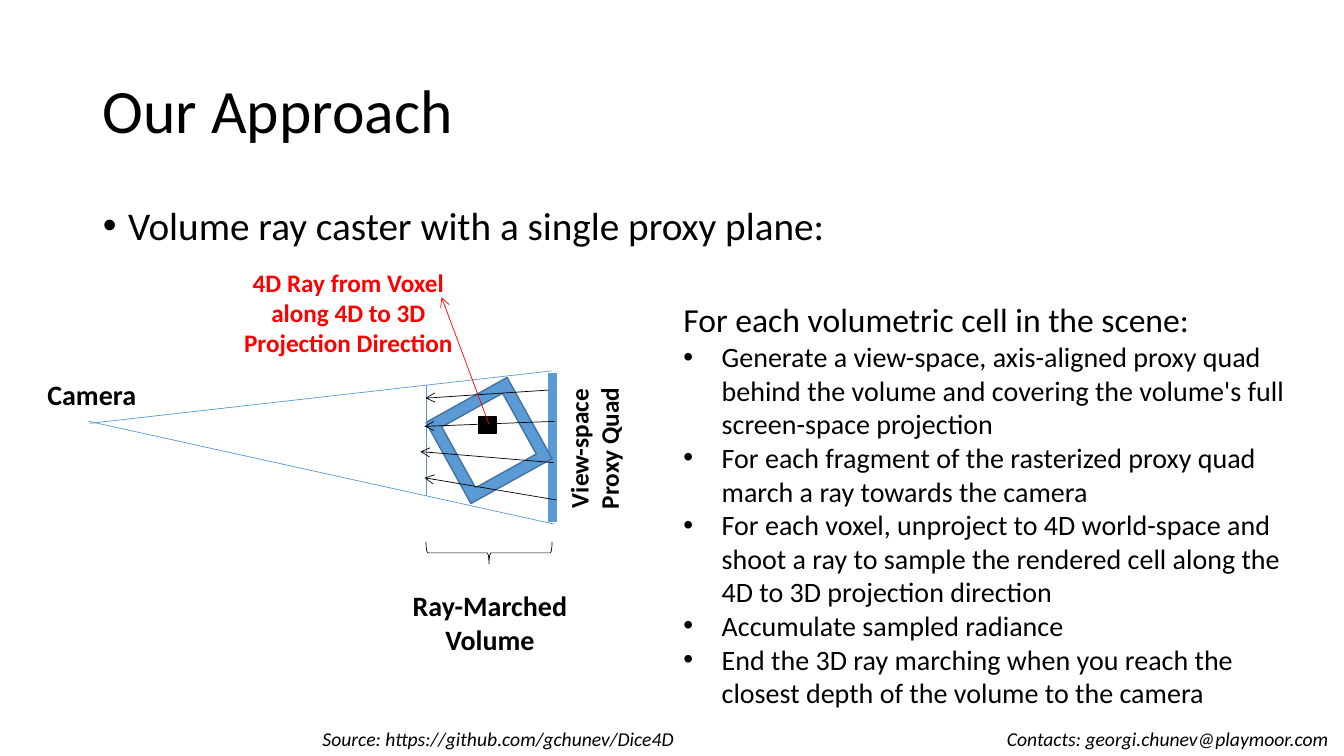
from lxml import etree
from pptx import Presentation
from pptx.dml.color import RGBColor
from pptx.enum.shapes import MSO_CONNECTOR, MSO_SHAPE
from pptx.enum.text import MSO_ANCHOR, MSO_AUTO_SIZE, PP_ALIGN
from pptx.oxml.ns import qn
from pptx.util import Pt

PX = 9144
FONT = "Calibri"
BLACK, RED, BLUE, DARK_BLUE = "000000", "FF0000", "5B9BD5", "43739E"
STRAIGHT = MSO_CONNECTOR.STRAIGHT
FRAME, SQUARE, BRACE = MSO_SHAPE.FRAME, MSO_SHAPE.RECTANGLE, MSO_SHAPE.LEFT_BRACE
LEFT, CENTER = PP_ALIGN.LEFT, PP_ALIGN.CENTER
TOP, MIDDLE = MSO_ANCHOR.TOP, MSO_ANCHOR.MIDDLE
NO_FIT = MSO_AUTO_SIZE.NONE

STEPS = [
    "Generate a view-space, axis-aligned proxy quad behind the volume and covering "
    "the volume's full screen-space projection",
    "For each fragment of the rasterized proxy quad march a ray towards the camera",
    "For each voxel, unproject to 4D world-space and shoot a ray to sample the "
    "rendered cell along the 4D to 3D projection direction",
    "Accumulate sampled radiance",
    "End the 3D ray marching when you reach the closest depth of the volume to the camera",
]
MARCHED_RAYS = [
    ((532, 236), (401, 214)),
    ((529, 199), (397, 188)),
    ((530, 158), (401, 163)),
    ((524, 127), (402, 135)),
]
FRUSTUM_EDGES = [((69, 160), (527, 108)), ((68, 158), (530, 260))]


def color(hex_text):
    """Return the colour for a hex string."""
    return RGBColor.from_string(hex_text)


def emu(*lengths):
    """Turn px lengths into EMU."""
    return [length * PX for length in lengths]


def add_span(para, text, size, ink=BLACK, bold=False, italic=False):
    """Add one formatted run to a paragraph."""
    span = para.add_run()
    span.text = text
    span.font.name = FONT
    span.font.size = Pt(size)
    span.font.bold = bold
    span.font.italic = italic
    span.font.color.rgb = color(ink)


def add_bullet(para, indent):
    """Give a paragraph a round bullet with a hanging indent."""
    props = para._p.get_or_add_pPr()
    props.set("marL", str(indent * PX))
    props.set("indent", str(-indent * PX))
    etree.SubElement(props, qn("a:buFont"), typeface="Arial")
    etree.SubElement(props, qn("a:buChar"), char="•")


def add_text_box(page, box):
    """Add a wrapping text box and return its text frame."""
    frame = page.shapes.add_textbox(*emu(*box)).text_frame
    frame.word_wrap = True
    return frame


def add_label(page, box, text, size, ink=BLACK):
    """Add a bold centred label and return its text frame."""
    frame = add_text_box(page, box)
    para = frame.paragraphs[0]
    para.alignment = CENTER
    add_span(para, text, size, ink, bold=True)
    return frame


def add_line(page, start, end, ink, width, arrow=False):
    """Draw a straight line, with an open arrowhead at its end if asked."""
    line = page.shapes.add_connector(STRAIGHT, *emu(*start, *end))
    line.line.color.rgb = color(ink)
    line.line.width = Pt(width)
    if arrow:
        etree.SubElement(line.line._get_or_add_ln(), qn("a:tailEnd"), type="arrow")
    etree.SubElement(line._element.spPr, qn("a:effectLst"))


def add_figure(page, kind, box, ink, width, fill=None, rotation=0):
    """Draw a preset shape without a shadow."""
    figure = page.shapes.add_shape(kind, *emu(*box))
    figure.shadow.inherit = False
    figure.rotation = rotation
    figure.line.color.rgb = color(ink)
    figure.line.width = Pt(width)
    if fill:
        figure.fill.solid()
        figure.fill.fore_color.rgb = color(fill)
    else:
        figure.fill.background()


def fill_placeholder(holder, box, text, size, anchor):
    """Move a placeholder, write its text and return the paragraph."""
    holder.left, holder.top, holder.width, holder.height = emu(*box)
    frame = holder.text_frame
    frame.auto_size = NO_FIT
    frame.vertical_anchor = anchor
    para = frame.paragraphs[0]
    para.alignment = LEFT
    para.line_spacing = 0.9
    para.space_before = Pt(0)
    add_span(para, text, size)
    return para


def add_diagram(page, left, top):
    """Draw the ray casting diagram with its corner at the given point."""

    def at(point):
        return left + point[0], top + point[1]

    def area(x, y, width, height):
        return *at((x, y)), width, height

    add_line(page, at((528, 110)), at((528, 258)), BLUE, 6)
    add_figure(page, FRAME, area(419, 131, 92, 92), DARK_BLUE, 1, BLUE, 331)
    add_line(page, at((403, 122)), at((403, 232)), BLUE, 1)
    for start, end in FRUSTUM_EDGES:
        add_line(page, at(start), at(end), BLUE, 0.5)
    for start, end in MARCHED_RAYS:
        add_line(page, at(start), at(end), BLACK, 0.5, arrow=True)
    add_figure(page, BRACE, area(454, 226, 22, 125), BLACK, 0.5, rotation=270)
    add_label(page, area(2, 110, 138, 44), "Camera", 20)
    add_label(page, area(366, 319, 200, 77), "Ray-Marched Volume", 20)
    quad_label = add_label(page, area(534, 92, 80, 186), "View-space Proxy Quad", 18)
    quad_label._txBody.bodyPr.set("vert", "vert270")
    add_figure(page, SQUARE, area(455, 153, 17, 17), BLACK, 1, BLACK)
    add_line(page, at((465, 161)), at((418, 35)), RED, 0.5, arrow=True)
    add_label(page, area(192, 0, 267, 100),
              "4D Ray from Voxel along 4D to 3D Projection Direction", 18, RED)


def add_steps(page, box):
    """Write the algorithm's lead-in and its bulleted steps."""
    frame = add_text_box(page, box)
    add_span(frame.paragraphs[0], "For each volumetric cell in the scene:", 24)
    for step in STEPS:
        para = frame.add_paragraph()
        add_bullet(para, 38)
        add_span(para, step, 20)


def add_footer(page, box):
    """Write the source at the left and the contact at a right tab."""
    para = add_text_box(page, box).paragraphs[0]
    tabs = etree.SubElement(para._p.get_or_add_pPr(), qn("a:tabLst"))
    etree.SubElement(tabs, qn("a:tab"), pos=str((box[2] - 25) * PX), algn="r")
    add_span(para, "Source: https://github.com/gchunev/Dice4D", 14, italic=True)
    add_span(para, "\tContacts: georgi.chunev@playmoor.com", 14, italic=True)


def build_approach(deck):
    """Build the approach slide."""
    page = deck.slides.add_slide(deck.slide_layouts[1])
    add_footer(page, (310, 716, 1023, 34))
    title, body = page.placeholders
    fill_placeholder(title, (92, 40, 1150, 145), "Our Approach", 44, MIDDLE)
    topic = fill_placeholder(body, (92, 200, 1198, 476),
                             "Volume ray caster with a single proxy plane:", 28, TOP)
    add_bullet(topic, 25)
    add_diagram(page, 20, 260)
    add_steps(page, (668, 292, 634, 421))


def main():
    """Create and save the deck."""
    deck = Presentation()
    deck.slide_width, deck.slide_height = emu(1333, 750)
    build_approach(deck)
    deck.save("out.pptx")


if __name__ == "__main__":
    main()
